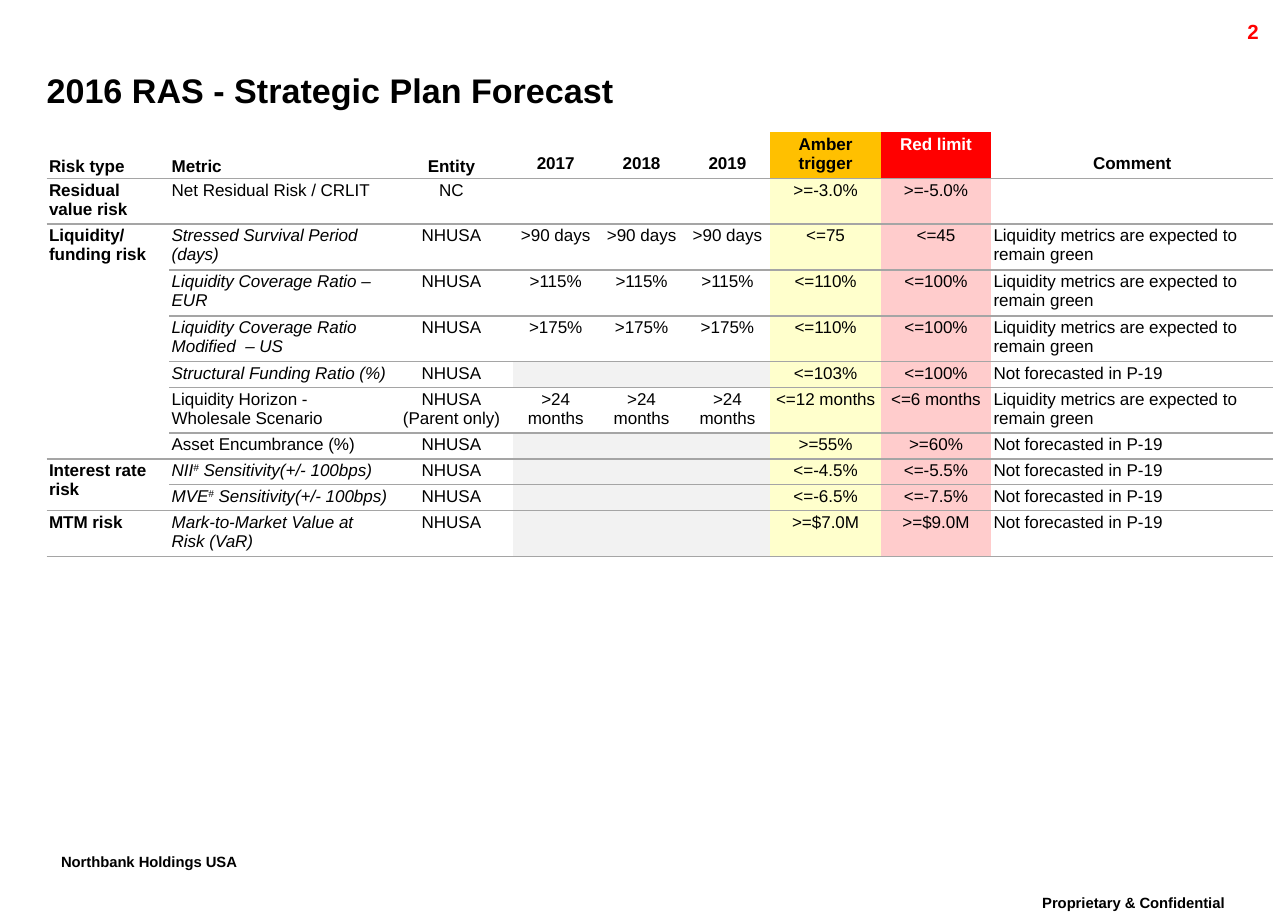
"""Build the 2016 RAS strategic plan forecast slide."""
from pptx import Presentation
from pptx.dml.color import RGBColor
from pptx.enum.text import MSO_ANCHOR as ANCHOR, PP_ALIGN as ALIGN
from pptx.oxml import parse_xml
from pptx.oxml.ns import nsdecls
from pptx.util import Pt

PX = 9144
SLIDE = (1050, 750)
BLACK, WHITE, RED, LINE = "000000", "FFFFFF", "FF0000", "A5A5A5"
AMBER, PALE_AMBER, PALE_RED, GREY = "FFC000", "FFFFCC", "FFCCCC", "F2F2F2"
NO_STYLE = "{2D5ABB26-0587-4C30-8999-92F81FD0307C}"

GREEN = "Liquidity metrics are expected to remain green"
SKIPPED = "Not forecasted in P-19"
HEADER = ("Risk type", "Metric", "Entity", "2017", "2018", "2019",
          "Amber trigger", "Red limit", "Comment")
ROWS = [
    ("Residual value risk", "Net Residual Risk / CRLIT", "NC", "", ">=-3.0%", ">=-5.0%", ""),
    ("Liquidity/funding risk", "Stressed Survival Period (days)", "NHUSA", ">90 days", "<=75", "<=45", GREEN),
    ("", "Liquidity Coverage Ratio – EUR", "NHUSA", ">115%", "<=110%", "<=100%", GREEN),
    ("", "Liquidity Coverage Ratio Modified  – US", "NHUSA", ">175%", "<=110%", "<=100%", GREEN),
    ("", "Structural Funding Ratio (%)", "NHUSA", "", "<=103%", "<=100%", SKIPPED),
    ("", "Liquidity Horizon - Wholesale Scenario", "NHUSA\n(Parent only)", ">24 months",
     "<=12 months", "<=6 months", GREEN),
    ("", "Asset Encumbrance (%)", "NHUSA", "", ">=55%", ">=60%", SKIPPED),
    ("Interest rate risk", "NII# Sensitivity(+/- 100bps)", "NHUSA", "", "<=-4.5%", "<=-5.5%", SKIPPED),
    ("", "MVE# Sensitivity(+/- 100bps)", "NHUSA", "", "<=-6.5%", "<=-7.5%", SKIPPED),
    ("MTM risk", "Mark-to-Market Value at Risk (VaR)", "NHUSA", "", ">=$7.0M", ">=$9.0M", SKIPPED),
]
UPRIGHT_ROWS = (1, 6, 7)
SHORT_ROWS = (5, 7, 8, 9)
GROUPS = [(2, 7), (8, 9)]
COLS = (100, 180, 100, 70, 70, 70, 90, 90, 230)
TALL, SHORT = 37, 21
TABLE_AT = (38, 108)
RISK, METRIC, YEARS, TRIGGER, LIMIT, COMMENT = 0, 1, (3, 4, 5), 6, 7, 8

SMALL = dict(size=15, baseline=30, spacing=0.86, align=ALIGN.CENTER)
TEXTS = [
    ("Proprietary & Confidential", (815, 725, 218, 35), SMALL),
    ("Northbank Holdings USA", (26, 691, 191, 35), dict(SMALL, wrap=False)),
    ("2", (936, 11, 100, 24), dict(size=12, color=RED, align=ALIGN.RIGHT)),
    ("2016 RAS - Strategic Plan Forecast", (38, 49, 948, 48),
     dict(size=20, anchor=ANCHOR.MIDDLE, margin=0)),
]


def rgb(color):
    """Turn a hex string into a colour."""
    return RGBColor.from_string(color)


def add_run(p, text, size, color, bold, italic=False, baseline=0):
    """Add one formatted run to a paragraph."""
    r = p.add_run()
    r.text = text
    for name, value in dict(name="Arial", size=Pt(size), bold=bold, italic=italic).items():
        setattr(r.font, name, value)
    r.font.color.rgb = rgb(color)
    if baseline:
        r.font._element.set("baseline", str(baseline * 1000))


def set_margins(target, px):
    """Give all four sides of a frame or cell the same margin."""
    for side in ("left", "right", "top", "bottom"):
        setattr(target, f"margin_{side}", px * PX)


def add_text(s, text, box, size, color=BLACK, align=ALIGN.LEFT, baseline=0,
             spacing=None, wrap=True, anchor=ANCHOR.TOP, margin=None):
    """Add one bold text box."""
    tf = s.shapes.add_textbox(*(v * PX for v in box)).text_frame
    tf.word_wrap, tf.vertical_anchor = wrap, anchor
    if margin is not None:
        set_margins(tf, margin)
    p = tf.paragraphs[0]
    p.alignment, p.line_spacing = align, spacing
    add_run(p, text, size, color, True, baseline=baseline)


def add_border(cell, tag):
    """Draw one horizontal edge of a cell."""
    cell._tc.get_or_add_tcPr().append(parse_xml(
        f'<a:{tag} {nsdecls("a")} w="12700"><a:solidFill>'
        f'<a:srgbClr val="{LINE}"/></a:solidFill></a:{tag}>'))


def cell_fill(row, col, comment):
    """Choose the background of a cell."""
    if col in (TRIGGER, LIMIT):
        shades = (AMBER, RED) if row == 0 else (PALE_AMBER, PALE_RED)
        return shades[col - TRIGGER]
    return GREY if col in YEARS and comment == SKIPPED else WHITE


def fill_cell(cell, text, row, col, comment):
    """Format one table cell and write its text."""
    head = row == 0
    set_margins(cell, 4 if head and col in (*YEARS, COMMENT) else 2)
    low = head and col not in (TRIGGER, LIMIT)
    cell.vertical_anchor = ANCHOR.BOTTOM if low else ANCHOR.TOP
    if not cell.is_spanned:
        if not head:
            add_border(cell, "lnT")
        add_border(cell, "lnB")
    cell.fill.solid()
    cell.fill.fore_color.rgb = rgb(cell_fill(row, col, comment))
    left = col in (RISK, METRIC) or (col == COMMENT and not head)
    color = WHITE if head and col == LIMIT else BLACK
    italic = col == METRIC and not head and row not in UPRIGHT_ROWS
    tf = cell.text_frame
    for i, line in enumerate(text.split("\n")):
        p = tf.add_paragraph() if i else tf.paragraphs[0]
        p.alignment = ALIGN.LEFT if left else ALIGN.CENTER
        for part in line.partition("#"):
            if part:
                add_run(p, part, 10, color, head or col == RISK, italic, 30 if part == "#" else 0)
        if not line:
            p._p.get_or_add_endParaRPr().set("sz", "1000")


def add_metrics(s):
    """Add the table of risk metrics."""
    rows = [HEADER] + [(*r[:3], *[r[3]] * 3, *r[4:]) for r in ROWS]
    heights = [SHORT if i in SHORT_ROWS else TALL for i in range(len(rows))]
    box = (*TABLE_AT, sum(COLS), sum(heights))
    table = s.shapes.add_table(len(rows), len(COLS), *(v * PX for v in box)).table
    table.first_row = table.horz_banding = False
    table._tbl.tblPr[0].text = NO_STYLE
    for col, width in zip(table.columns, COLS):
        col.width = width * PX
    for row, height in zip(table.rows, heights):
        row.height = height * PX
    for first, last in GROUPS:
        table.cell(first, RISK).merge(table.cell(last, RISK))
    for i, texts in enumerate(rows):
        for j, text in enumerate(texts):
            fill_cell(table.cell(i, j), text, i, j, texts[COMMENT])


def main():
    """Build and save the slide."""
    prs = Presentation()
    prs.slide_width, prs.slide_height = (v * PX for v in SLIDE)
    s = prs.slides.add_slide(prs.slide_layouts[6])
    for text, box, style in TEXTS:
        add_text(s, text, box, **style)
    add_metrics(s)
    prs.save("out.pptx")


if __name__ == "__main__":
    main()
